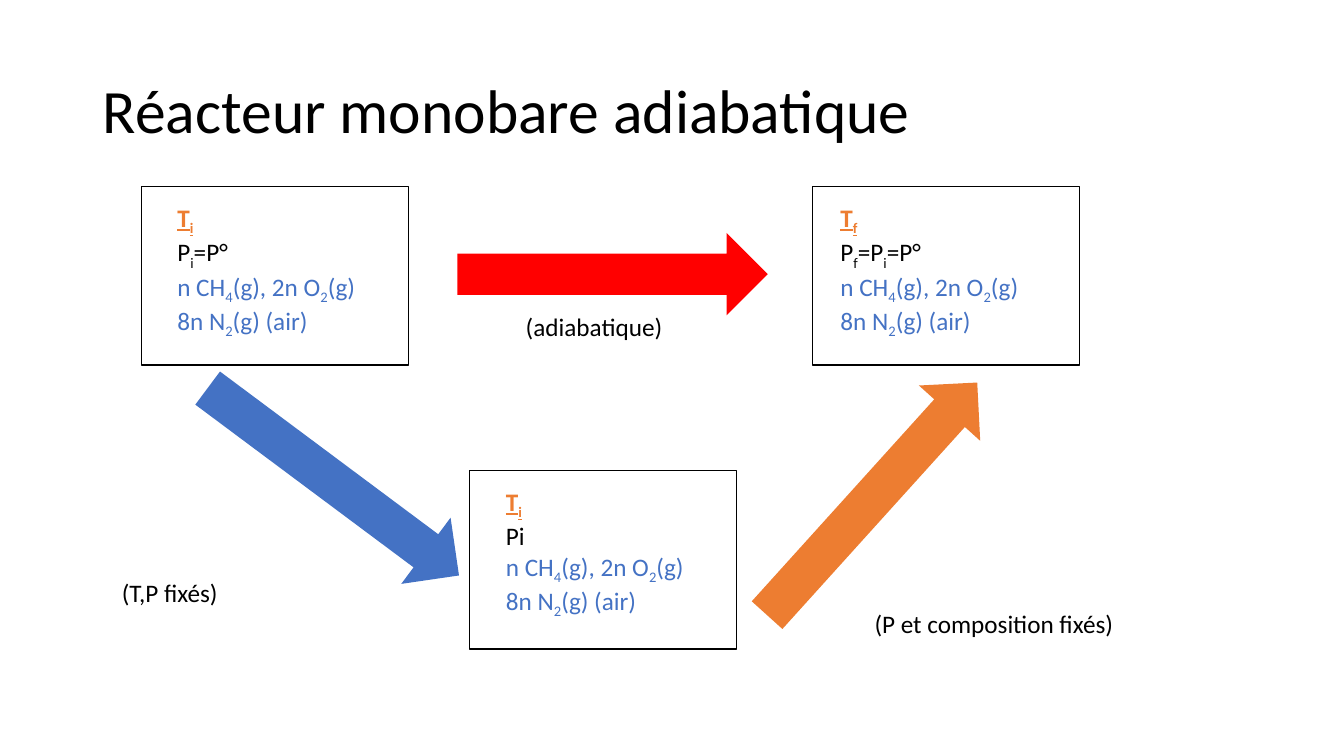
from dataclasses import dataclass

from pptx import Presentation
from pptx.dml.color import RGBColor
from pptx.enum import shapes, text
from pptx.util import Cm, Pt


@dataclass(frozen=True)
class Theme:
    font: str = "Calibri"
    title_size: int = 44
    body_size: int = 18
    black: str = "000000"
    red: str = "FF0000"
    blue: str = "4472C4"
    orange: str = "ED7D31"


@dataclass(frozen=True)
class State:
    left: float
    top: float
    indent: float
    temperature: str
    pressure: str


@dataclass(frozen=True)
class Arrow:
    left: float
    top: float
    width: float
    angle: float
    color: str


@dataclass(frozen=True)
class Label:
    left: float
    top: float
    width: float
    wording: str


THEME = Theme()
BOX_WIDTH, BOX_HEIGHT = 6.73, 4.5
TEXT_WIDTH, TEXT_HEIGHT, TEXT_DROP = 5.41, 3.33, 0.27
ARROW_HEIGHT = 2.08
LABEL_HEIGHT = 1.02

# An underscore makes the next character a subscript.
MIXTURE = ("n CH_4(g), 2n O_2(g)", "8n N_2(g) (air)")
STATES = (
    State(3.56, 4.7, 0.66, "T_i", "P_i=P°"),
    State(20.47, 4.7, 0.46, "T_f", "P_f=P_i=P°"),
    State(11.84, 11.86, 0.66, "T_i", "Pi"),
)
ARROWS = (
    Arrow(11.53, 5.87, 7.82, 0, THEME.red),
    Arrow(4.45, 11.1, 7.9, 36.7, THEME.blue),
    Arrow(18.03, 11.53, 7.9, 312.1, THEME.orange),
)
LABELS = (
    Label(13, 7.72, 4.11, "(adiabatique)"),
    Label(2.82, 14.43, 4.11, "(T,P fixés)"),
    Label(21.79, 15.21, 8, "(P et composition fixés)"),
)


def add_run(p, wording: str, color: str, size: int = THEME.body_size,
            strong: bool = False, subscript: bool = False) -> None:
    """Add one run; a strong run is bold and underlined."""
    r = p.add_run()
    r.text = wording
    r.font.name = THEME.font
    r.font.size = Pt(size)
    r.font.color.rgb = RGBColor.from_string(color)
    if strong:
        r.font.bold = r.font.underline = True
    if subscript:
        r._r.get_or_add_rPr().set("baseline", "-25000")


def add_formula(p, formula: str, color: str, strong: bool = False) -> None:
    start, *pieces = formula.split("_")
    add_run(p, start, color, strong=strong)
    for piece in pieces:
        add_run(p, piece[0], color, strong=strong, subscript=True)
        if piece[1:]:
            add_run(p, piece[1:], color, strong=strong)


def add_text_frame(slide, left: float, top: float, width: float, height: float):
    tf = slide.shapes.add_textbox(Cm(left), Cm(top), Cm(width), Cm(height)).text_frame
    tf.word_wrap = True
    tf.auto_size = text.MSO_AUTO_SIZE.SHAPE_TO_FIT_TEXT
    return tf


def add_title(slide, wording: str) -> None:
    sp = slide.shapes.title
    sp.left, sp.top, sp.width, sp.height = Cm(2.34), Cm(1.02), Cm(29.21), Cm(3.68)
    tf = sp.text_frame
    tf.vertical_anchor = text.MSO_ANCHOR.MIDDLE
    p = tf.paragraphs[0]
    p.alignment = text.PP_ALIGN.LEFT
    p.line_spacing = 0.9
    add_run(p, wording, THEME.black, THEME.title_size)


def add_state(slide, state: State) -> None:
    """Draw a framed state: temperature, pressure and gas mixture."""
    sp = slide.shapes.add_shape(shapes.MSO_SHAPE.RECTANGLE, Cm(state.left),
                                Cm(state.top), Cm(BOX_WIDTH), Cm(BOX_HEIGHT))
    sp.shadow.inherit = False
    sp.fill.background()
    sp.line.color.rgb = RGBColor.from_string(THEME.black)
    sp.line.width = Pt(1)

    tf = add_text_frame(slide, state.left + state.indent, state.top + TEXT_DROP,
                        TEXT_WIDTH, TEXT_HEIGHT)
    add_formula(tf.paragraphs[0], state.temperature, THEME.orange, strong=True)
    add_formula(tf.add_paragraph(), state.pressure, THEME.black)
    for formula in MIXTURE:
        add_formula(tf.add_paragraph(), formula, THEME.blue)


def add_arrow(slide, arrow: Arrow) -> None:
    sp = slide.shapes.add_shape(shapes.MSO_SHAPE.RIGHT_ARROW, Cm(arrow.left),
                                Cm(arrow.top), Cm(arrow.width), Cm(ARROW_HEIGHT))
    sp.rotation = arrow.angle
    sp.shadow.inherit = False
    sp.fill.solid()
    sp.fill.fore_color.rgb = RGBColor.from_string(arrow.color)
    sp.line.fill.background()


def add_label(slide, label: Label) -> None:
    tf = add_text_frame(slide, label.left, label.top, label.width, LABEL_HEIGHT)
    add_run(tf.paragraphs[0], label.wording, THEME.black)


def main() -> None:
    prs = Presentation()
    prs.slide_width, prs.slide_height = Cm(33.87), Cm(19.05)
    slide = prs.slides.add_slide(prs.slide_layouts.get_by_name("Title Only"))
    add_title(slide, "Réacteur monobare adiabatique")
    for state in STATES:
        add_state(slide, state)
    for arrow in ARROWS:
        add_arrow(slide, arrow)
    for label in LABELS:
        add_label(slide, label)
    prs.save("out.pptx")


if __name__ == "__main__":
    main()
